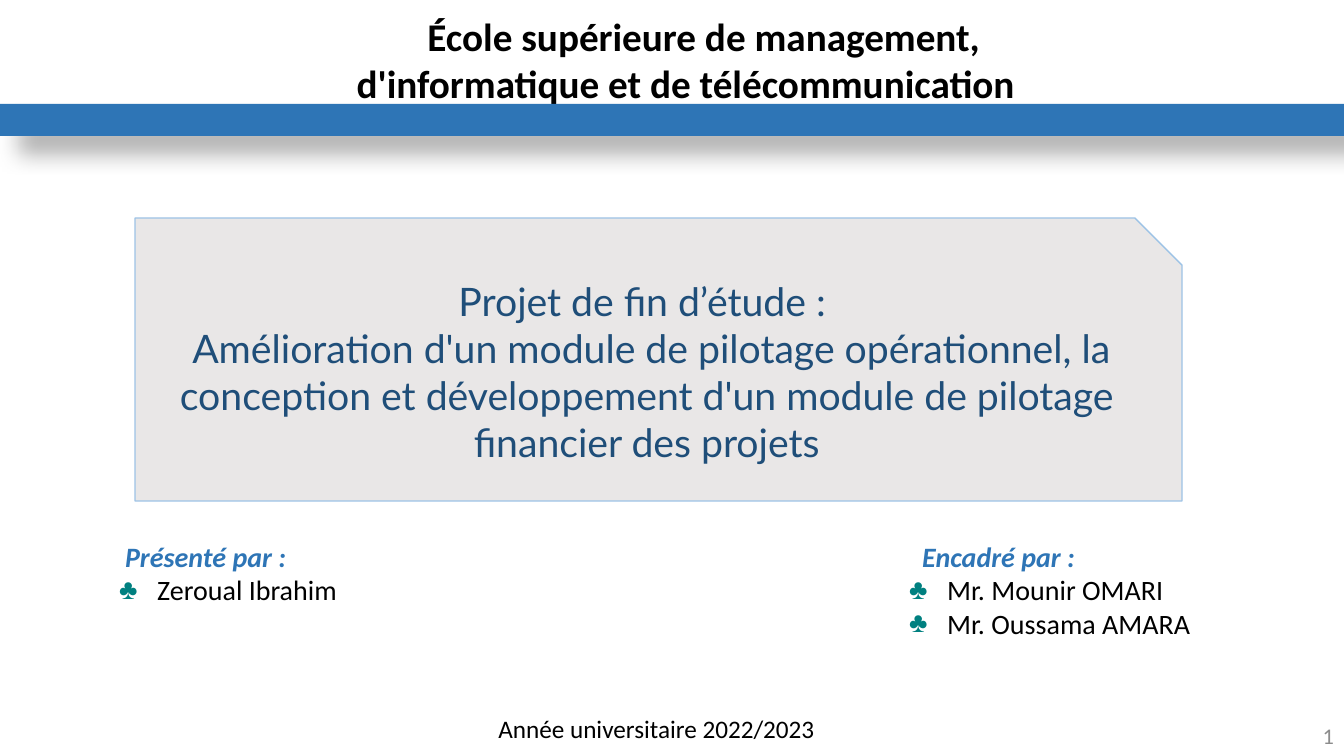
from dataclasses import dataclass

import pptx
import pptx.dml.color
import pptx.enum.shapes
import pptx.enum.text
import pptx.oxml.ns
import pptx.util
from lxml import etree

EMU_PER_PX = 914400 / 100.8
ALIGN = pptx.enum.text.PP_ALIGN
ANCHOR = pptx.enum.text.MSO_ANCHOR
SHAPE = pptx.enum.shapes.MSO_SHAPE
BLUE, BLACK, TEAL = "2E75B6", "000000", "008080"
BULLET_INDENT = 38


@dataclass
class Box:
    left: int
    top: int
    width: int
    height: int


@dataclass
class Line:
    """One paragraph; margins and first-line indent are in px."""
    text: str
    size: int
    color: str = BLACK
    font: str = "Calibri"
    bold: bool = False
    italic: bool = False
    align: ALIGN = ALIGN.LEFT
    margin_left: int = 0
    margin_right: int = 0
    indent: int = 0
    bullet: str = ""


@dataclass
class People:
    box: Box
    heading: str
    heading_margin: int
    names: list[str]


def px(length: float) -> int:
    return round(length * EMU_PER_PX)


def rgb(color: str) -> pptx.dml.color.RGBColor:
    return pptx.dml.color.RGBColor.from_string(color)


def corners(box: Box) -> list[int]:
    return [px(length) for length in (box.left, box.top, box.width, box.height)]


def place(shape, box: Box) -> None:
    shape.left, shape.top, shape.width, shape.height = corners(box)


def add_xml(parent, tag: str, **attributes: str):
    return etree.SubElement(parent, pptx.oxml.ns.qn(tag), attributes)


def set_bullet(properties, bullet: str) -> None:
    if not bullet:
        add_xml(properties, "a:buNone")
        return
    add_xml(add_xml(properties, "a:buClr"), "a:srgbClr", val=TEAL)
    add_xml(properties, "a:buChar", char=bullet)


def write(shape, lines: list[Line], anchor: ANCHOR = ANCHOR.TOP, wrap: bool = True) -> None:
    text_frame = shape.text_frame
    text_frame.text = "\n".join(line.text for line in lines)
    text_frame.auto_size = pptx.enum.text.MSO_AUTO_SIZE.NONE
    text_frame.word_wrap = wrap
    text_frame.vertical_anchor = anchor
    for paragraph, line in zip(text_frame.paragraphs, lines):
        paragraph.alignment = line.align
        paragraph.line_spacing = 1.0
        paragraph.space_before = paragraph.space_after = pptx.util.Pt(0)
        properties = paragraph._p.get_or_add_pPr()
        properties.set("marL", str(px(line.margin_left)))
        properties.set("marR", str(px(line.margin_right)))
        properties.set("indent", str(px(line.indent)))
        set_bullet(properties, line.bullet)
        for run in paragraph.runs:
            run.font.name = line.font
            run.font.size = pptx.util.Pt(line.size)
            run.font.bold = line.bold
            run.font.italic = line.italic
            run.font.color.rgb = rgb(line.color)


def add_panel(slide, kind: SHAPE, box: Box, fill: str, outline: str = ""):
    shape = slide.shapes.add_shape(kind, *corners(box))
    shape.shadow.inherit = False
    shape.fill.solid()
    shape.fill.fore_color.rgb = rgb(fill)
    if outline:
        shape.line.color.rgb = rgb(outline)
        shape.line.width = pptx.util.Pt(1)
    else:
        shape.line.fill.background()
    return shape


def add_shadow(shape) -> None:
    effects = shape._element.spPr.find(pptx.oxml.ns.qn("a:effectLst"))
    shadow = add_xml(effects, "a:outerShdw", blurRad=str(pptx.util.Pt(15)),
                     dist=str(pptx.util.Pt(18)), dir=str(45 * 60000),
                     algn="tl", rotWithShape="0")
    add_xml(add_xml(shadow, "a:srgbClr", val=BLACK), "a:alpha", val="30000")


def fill_people(placeholder, people: People) -> None:
    place(placeholder, people.box)
    heading = Line(people.heading, 20, BLUE, bold=True, italic=True,
                   margin_left=people.heading_margin)
    names = [Line(name, 20, margin_left=BULLET_INDENT, indent=-BULLET_INDENT, bullet="♣")
             for name in people.names]
    write(placeholder, [heading, *names])
    placeholder.text_frame.margin_right = 0


def main() -> None:
    presentation = pptx.Presentation()
    presentation.slide_width, presentation.slide_height = px(1344), px(756)
    slide = presentation.slides.add_slide(presentation.slide_layouts[3])
    title, presenters, supervisors = slide.placeholders

    # School name
    place(title, Box(287, 7, 797, 105))
    write(title, [Line("École supérieure de management, d'informatique et de télécommunication",
                       28, bold=True, align=ALIGN.CENTER, indent=36)])

    # Header bar
    add_shadow(add_panel(slide, SHAPE.RECTANGLE, Box(0, 104, 1344, 32), BLUE))

    # Project subject
    subject = add_panel(slide, SHAPE.SNIP_1_RECTANGLE, Box(135, 218, 1047, 283),
                        "E9E7E7", "9DC3E6")
    style = dict(size=28, color="1F4E79", font="Lato", align=ALIGN.CENTER)
    write(subject, [
        Line("Projet de fin d’étude :", margin_right=9, **style),
        Line("Amélioration d'un module de pilotage opérationnel, la conception et "
             "développement d'un module de pilotage financier des projets",
             indent=9, **style),
    ], ANCHOR.MIDDLE)

    # Presenter and supervisors
    fill_people(presenters, People(Box(109, 534, 240, 112), "Présenté par :", 6,
                                   ["Zeroual Ibrahim"]))
    fill_people(supervisors, People(Box(899, 534, 331, 112), "Encadré par :", 13,
                                    ["Mr. Mounir OMARI", "Mr. Oussama AMARA"]))

    # Academic year and page number
    year = slide.shapes.add_textbox(*corners(Box(486, 708, 341, 40)))
    write(year, [Line("Année universitaire 2022/2023", 18, align=ALIGN.CENTER)], wrap=False)
    page = slide.shapes.add_textbox(*corners(Box(1042, 716, 302, 40)))
    write(page, [Line("1", 16, "8C8C8C", align=ALIGN.RIGHT)], ANCHOR.MIDDLE)

    presentation.save("out.pptx")


if __name__ == "__main__":
    main()
